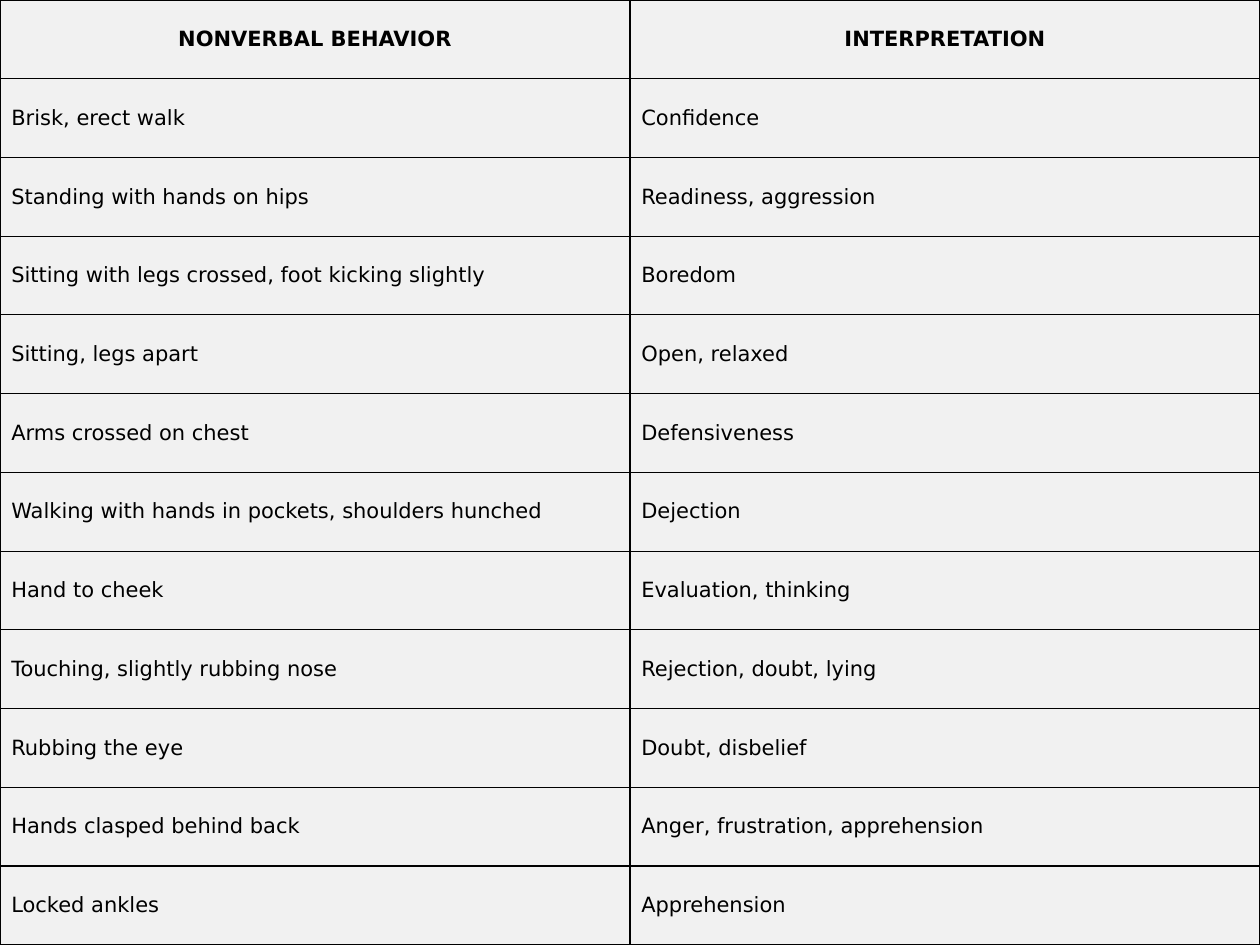
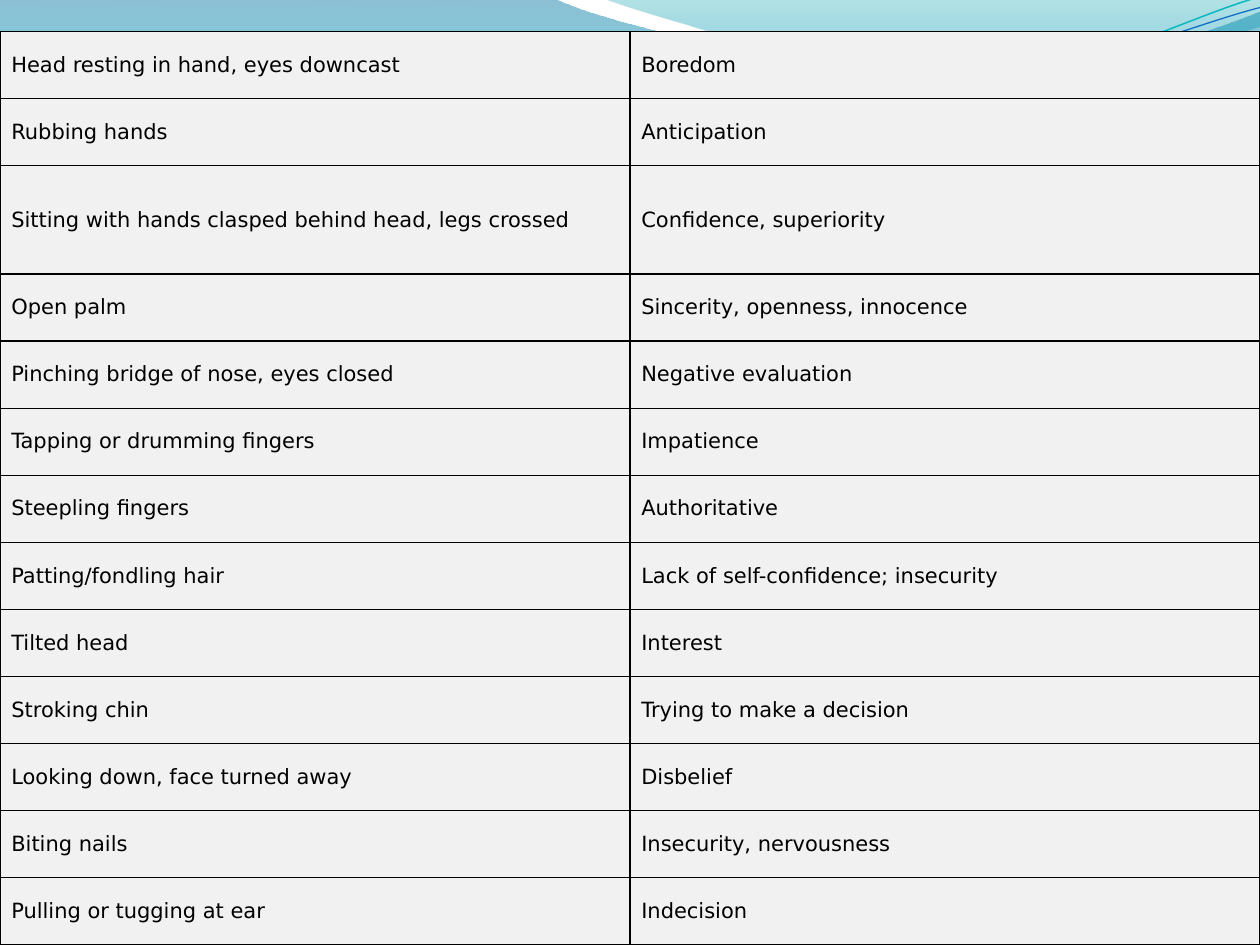
from pptx import Presentation
from pptx import util as u
from pptx.dml.color import RGBColor
from pptx.enum import text
from pptx.oxml import parse_xml
from pptx.oxml.ns import nsdecls, qn
from pptx.oxml.xmlchemy import OxmlElement

SLIDE_WIDTH, SLIDE_HEIGHT = 10, 7.5
FONT, FONT_SIZE = "DejaVu Sans", 12
BLACK, CELL_GREY = "000000", "F1F1F1"
BORDER_WIDTH = 0.75

HEADINGS = ("NONVERBAL BEHAVIOR", "INTERPRETATION")
POSTURES = [
    ("Brisk, erect walk", "Confidence"),
    ("Standing with hands on hips", "Readiness, aggression"),
    ("Sitting with legs crossed, foot kicking slightly", "Boredom"),
    ("Sitting, legs apart", "Open, relaxed"),
    ("Arms crossed on chest", "Defensiveness"),
    ("Walking with hands in pockets, shoulders hunched", "Dejection"),
    ("Hand to cheek", "Evaluation, thinking"),
    ("Touching, slightly rubbing nose", "Rejection, doubt, lying"),
    ("Rubbing the eye", "Doubt, disbelief"),
    ("Hands clasped behind back", "Anger, frustration, apprehension"),
    ("Locked ankles", "Apprehension"),
]
GESTURES = [
    ("Head resting in hand, eyes downcast", "Boredom"),
    ("Rubbing hands", "Anticipation"),
    ("Sitting with hands clasped behind head, legs crossed", "Confidence, superiority"),
    ("Open palm", "Sincerity, openness, innocence"),
    ("Pinching bridge of nose, eyes closed", "Negative evaluation"),
    ("Tapping or drumming fingers", "Impatience"),
    ("Steepling fingers", "Authoritative"),
    ("Patting/fondling hair", "Lack of self-confidence; insecurity"),
    ("Tilted head", "Interest"),
    ("Stroking chin", "Trying to make a decision"),
    ("Looking down, face turned away", "Disbelief"),
    ("Biting nails", "Insecurity, nervousness"),
    ("Pulling or tugging at ear", "Indecision"),
]
TALL_GESTURE_ROW, TALL_HEIGHT = 2, 0.86

# Outlines in inches: a pair is a straight step, six numbers are a Bezier step.
LEFT_WAVE = [
    (0, -0.01), (4.4, -0.01),
    (4.76, 0.17, 6.64, 0.63, 7.58, 0.63), (8.53, 0.63, 9.58, 0.26, 10, 0.09),
    (10.01, 0.36),
    (9.83, 0.44, 8.7, 0.76, 7.46, 0.75), (6.22, 0.75, 3.82, 0.28, 2.57, 0.34),
    (1.29, 0.35, 0.46, 0.83, -0.01, 1.13),
]
RIGHT_WAVE = [
    (4.79, -0.01), (5.09, 0.11, 6.82, 0.62, 7.69, 0.65),
    (8.56, 0.69, 9.61, 0.32, 10, 0.21), (10, 0),
]
TEAL_CURVE = [
    (0, 1.11), (0.48, 0.93, 1.58, 0.57, 2.77, 0.52),
    (3.95, 0.47, 5.93, 0.89, 7.13, 0.8), (8.33, 0.71, 9.38, 0.15, 9.98, -0.02),
]
BLUE_CURVE = [
    (0, 1.04), (0.47, 0.96, 1.64, 0.61, 2.83, 0.56),
    (4.03, 0.51, 5.97, 0.83, 7.17, 0.75), (8.36, 0.67, 9.41, 0.21, 10, 0.06),
]


def color(hex_code):
    return RGBColor.from_string(hex_code)


def bend_segments(shape, steps):
    """Merge each three line segments of a Bezier step into one curve."""
    segments = iter(list(shape._element.iter(qn("a:lnTo"))))
    for step in steps:
        segment = next(segments)
        if len(step) == 2:
            continue
        curve = OxmlElement("a:cubicBezTo")
        segment.addprevious(curve)
        for part in (segment, next(segments), next(segments)):
            curve.append(part[0])
            part.getparent().remove(part)


def add_outline(slide, outline, close):
    points = [(u.Inches(x), u.Inches(y))
              for step in outline for x, y in zip(step[::2], step[1::2])]
    builder = slide.shapes.build_freeform(*points[0])
    builder.add_line_segments(points[1:], close=close)
    shape = builder.convert_to_shape()
    bend_segments(shape, outline[1:])
    shape.shadow.inherit = False
    return shape


def add_wave(slide, outline, stops):
    """Fill an outline downwards; each stop is position, colour, opacity percent."""
    shape = add_outline(slide, outline, close=True)
    shape.line.fill.background()
    shape.fill.gradient()
    shape.fill.gradient_angle = 270
    for gradient_stop, (position, hex_code, _) in zip(shape.fill.gradient_stops, stops):
        gradient_stop.position = position
        gradient_stop.color.rgb = color(hex_code)
    colors = shape._element.spPr.iter(qn("a:srgbClr"))
    for element, (_, _, opacity) in zip(list(colors), stops):
        alpha = OxmlElement("a:alpha")
        alpha.set("val", str(opacity * 1000))
        element.append(alpha)
    return shape


def add_curve(slide, outline, hex_code, width):
    shape = add_outline(slide, outline, close=False)
    shape.fill.background()
    shape.line.color.rgb = color(hex_code)
    shape.line.width = u.Pt(width)
    return shape


def add_wave_band(slide):
    """Draw the shared band and move it to the layout, behind every slide."""
    band = [
        add_wave(slide, LEFT_WAVE, [(0, "0074A1", 45), (1, "00C6CF", 55)]),
        add_wave(slide, RIGHT_WAVE, [(0, "00A1A9", 30), (0.8, "008BBF", 45)]),
        add_curve(slide, TEAL_CURVE, "0AB8BF", 0.85),
        add_curve(slide, BLUE_CURVE, "0F6FC6", 0.75),
    ]
    for shape in band:
        slide.slide_layout.shapes._spTree.append(shape._element)


def add_borders(cell):
    properties = cell._tc.get_or_add_tcPr()
    for side in "LRTB":
        properties.append(parse_xml(
            f'<a:ln{side} {nsdecls("a")} w="{u.Pt(BORDER_WIDTH)}"><a:solidFill>'
            f'<a:srgbClr val="{BLACK}"/></a:solidFill></a:ln{side}>'))


def format_cell(cell, content, heading):
    add_borders(cell)
    cell.fill.solid()
    cell.fill.fore_color.rgb = color(CELL_GREY)
    cell.vertical_anchor = text.MSO_ANCHOR.MIDDLE
    cell.margin_left = cell.margin_right = u.Inches(0.09)
    cell.margin_top = cell.margin_bottom = u.Inches(0.05)
    cell.text_frame.text = content
    paragraph = cell.text_frame.paragraphs[0]
    paragraph.alignment = text.PP_ALIGN.CENTER if heading else text.PP_ALIGN.LEFT
    font = paragraph.runs[0].font
    font.name, font.size, font.bold = FONT, u.Pt(FONT_SIZE), heading
    font.color.rgb = color(BLACK)


def add_behavior_table(slide, top, rows, heights, has_heading=False):
    frame = slide.shapes.add_table(
        len(rows), 2, 0, u.Inches(top), u.Inches(SLIDE_WIDTH), u.Inches(SLIDE_HEIGHT - top))
    table = frame.table
    table.first_row = has_heading
    table.horz_banding = False
    for index, (contents, height) in enumerate(zip(rows, heights)):
        table.rows[index].height = u.Inches(height)
        for column, content in enumerate(contents):
            format_cell(table.cell(index, column), content, has_heading and index == 0)


def main():
    presentation = Presentation()
    presentation.slide_width = u.Inches(SLIDE_WIDTH)
    presentation.slide_height = u.Inches(SLIDE_HEIGHT)
    blank = presentation.slide_layouts[6]

    posture_slide = presentation.slides.add_slide(blank)
    add_wave_band(posture_slide)
    posture_rows = [HEADINGS] + POSTURES
    posture_heights = [SLIDE_HEIGHT / len(posture_rows)] * len(posture_rows)
    add_behavior_table(posture_slide, 0, posture_rows, posture_heights, has_heading=True)

    gesture_slide = presentation.slides.add_slide(blank)
    top = 0.25
    regular_height = (SLIDE_HEIGHT - top - TALL_HEIGHT) / (len(GESTURES) - 1)
    gesture_heights = [regular_height] * len(GESTURES)
    gesture_heights[TALL_GESTURE_ROW] = TALL_HEIGHT
    add_behavior_table(gesture_slide, top, GESTURES, gesture_heights)

    presentation.save("out.pptx")


if __name__ == "__main__":
    main()
